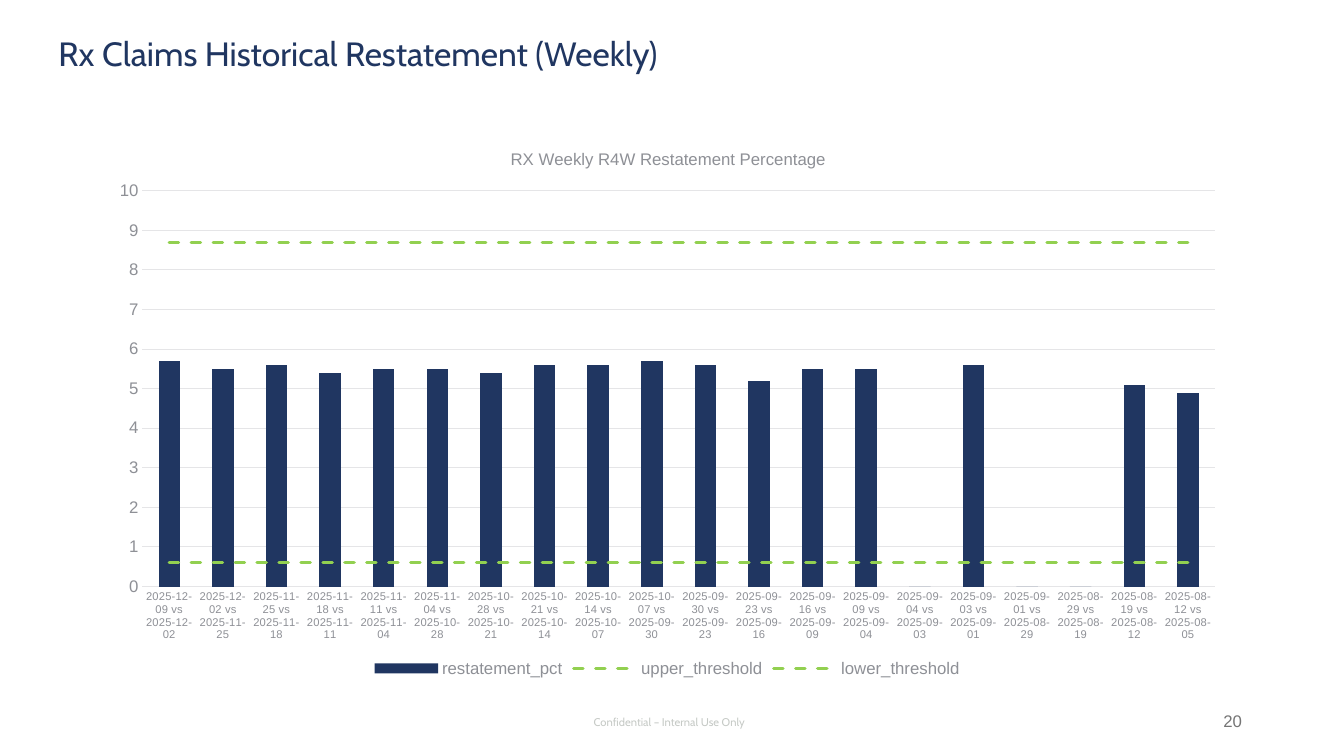
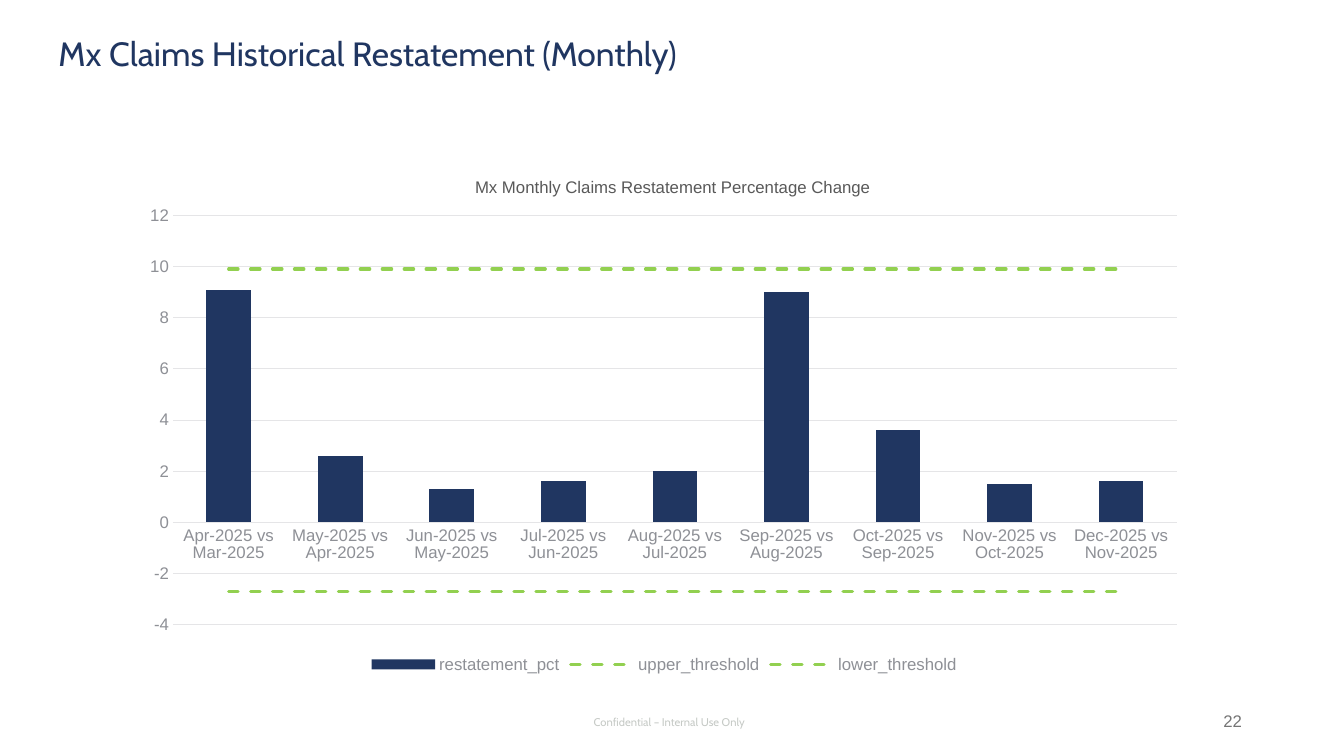
import pptx
import pptx.chart.data
import pptx.dml.color
import pptx.enum.chart
import pptx.enum.dml
import pptx.enum.text
import pptx.oxml
import pptx.oxml.ns
import pptx.util

Cm = pptx.util.Cm
Pt = pptx.util.Pt
RGBColor = pptx.dml.color.RGBColor
qn = pptx.oxml.ns.qn
ALIGN = pptx.enum.text.PP_ALIGN
ANCHOR = pptx.enum.text.MSO_ANCHOR
NO_TICKS = pptx.enum.chart.XL_TICK_MARK.NONE

# Shared colours and fonts
NAVY = RGBColor(0x20, 0x36, 0x61)
GREEN = RGBColor(0x92, 0xD0, 0x50)
AXIS_GREY = RGBColor(0x8E, 0x90, 0x96)
GRID_GREY = RGBColor(0xE5, 0xE5, 0xE7)
TEXT_GREY = RGBColor(0x54, 0x56, 0x5B)
CAPTION_GREY = RGBColor(0x59, 0x59, 0x59)
FOOTER_GREY = RGBColor(0xC6, 0xCA, 0xC6)
PAGE_GREY = RGBColor(0x75, 0x75, 0x75)
HEADING_FONT = "Cabin"
BODY_FONT = "Arial"

# Shared boxes: left, top, width, height in cm
TITLE_BOX = (1.22, 0.71, 31.45, 1.27)
FOOTER_BOX = (13.06, 17.78, 7.62, 0.81)
PAGE_BOX = (23.93, 17.65, 7.62, 1.02)

# Weekly runs: each is compared with the one that follows it
RUN_DATES = [
    "2025-12-09", "2025-12-02", "2025-11-25", "2025-11-18", "2025-11-11",
    "2025-11-04", "2025-10-28", "2025-10-21", "2025-10-14", "2025-10-07",
    "2025-09-30", "2025-09-23", "2025-09-16", "2025-09-09", "2025-09-04",
    "2025-09-03", "2025-09-01", "2025-08-29", "2025-08-19", "2025-08-12",
    "2025-08-05",
]
MONTHS = ["Mar", "Apr", "May", "Jun", "Jul", "Aug", "Sep", "Oct", "Nov", "Dec"]

WEEKLY = {
    "title": "Rx Claims Historical Restatement (Weekly)",
    "page": "20",
    "box": (2.44, 3.12, 28.75, 14.05),
    "caption": "RX Weekly R4W Restatement Percentage",
    "caption_color": AXIS_GREY,
    "caption_at": (0.36, 0.04),
    "plot_at": (0.04, 0.12, 0.94, 0.71),
    "categories": [f"{new} vs {old}" for new, old in zip(RUN_DATES, RUN_DATES[1:])],
    "category_size": 8,
    "restatement": [5.7, 5.5, 5.6, 5.4, 5.5, 5.5, 5.4, 5.6, 5.6, 5.7,
                    5.6, 5.2, 5.5, 5.5, 0, 5.6, 0, 0, 5.1, 4.9],
    "thresholds": (8.7, 0.6),
    "scale": (0, 10, 1),
}
MONTHLY = {
    "title": "Mx Claims Historical Restatement (Monthly)",
    "page": "22",
    "box": (3.28, 3.84, 26.92, 13.23),
    "caption": "Mx Monthly Claims Restatement Percentage Change",
    "caption_color": CAPTION_GREY,
    "caption_at": (0.32, 0.04),
    "plot_at": (0.04, 0.12, 0.94, 0.78),
    "categories": [f"{new}-2025 vs {old}-2025" for old, new in zip(MONTHS, MONTHS[1:])],
    "category_size": 12,
    "restatement": [9.1, 2.6, 1.3, 1.6, 2, 9, 3.6, 1.5, 1.6],
    "thresholds": (9.9, -2.7),
    "scale": (-4, 12, 2),
}


def style_font(font, size, color, name=BODY_FONT):
    font.name = name
    font.size = Pt(size)
    font.bold = False
    font.color.rgb = color


def write_line(frame, text, size, color, name, align):
    paragraph = frame.paragraphs[0]
    paragraph.alignment = align
    run = paragraph.add_run()
    run.text = text
    style_font(run.font, size, color, name)


def add_title(slide, text, box):
    title = slide.shapes.title
    title.left, title.top, title.width, title.height = map(Cm, box)
    title.text_frame.vertical_anchor = ANCHOR.TOP
    write_line(title.text_frame, text, 24, NAVY, HEADING_FONT, ALIGN.LEFT)


def add_small_print(slide, text, box, size, color, name, align):
    frame = slide.shapes.add_textbox(*map(Cm, box)).text_frame
    frame.word_wrap = True
    frame.vertical_anchor = ANCHOR.MIDDLE
    write_line(frame, text, size, color, name, align)


def set_layout(parent, index, fractions, inner=False):
    """Place a chart part by fractions of the chart box."""
    for old in parent.findall(qn("c:layout")):
        parent.remove(old)
    names = ("x", "y", "w", "h")[:len(fractions)]
    target = '<c:layoutTarget val="inner"/>' if inner else ""
    modes = "".join(f'<c:{n}Mode val="edge"/>' for n in names[:2])
    values = "".join(f'<c:{n} val="{v}"/>' for n, v in zip(names, fractions))
    parent.insert(index, pptx.oxml.parse_xml(
        f'<c:layout {pptx.oxml.ns.nsdecls("c")}><c:manualLayout>'
        f"{target}{modes}{values}</c:manualLayout></c:layout>"))


def move_thresholds_to_lines(chart):
    """Turn every series after the first into a line on the same axes."""
    bars = chart.element.find(".//" + qn("c:barChart"))
    axis_ids = "".join(f'<c:axId val="{axis.get("val")}"/>'
                       for axis in bars.findall(qn("c:axId")))
    lines = pptx.oxml.parse_xml(
        f'<c:lineChart {pptx.oxml.ns.nsdecls("c")}><c:grouping val="standard"/>'
        f'<c:varyColors val="0"/><c:marker val="1"/>{axis_ids}</c:lineChart>')
    bars.addnext(lines)
    marker = lines.find(qn("c:marker"))
    for series in bars.findall(qn("c:ser"))[1:]:
        for bar_only in series.findall(qn("c:invertIfNegative")):
            series.remove(bar_only)
        marker.addprevious(series)


def style_series(chart):
    bar_plot, line_plot = chart.plots
    bar_plot.gap_width = 150
    bar_plot.vary_by_categories = False
    bar_fill = bar_plot.series[0].format.fill
    bar_fill.solid()
    bar_fill.fore_color.rgb = NAVY
    for threshold in line_plot.series:
        threshold.smooth = False
        threshold.marker.style = pptx.enum.chart.XL_MARKER_STYLE.NONE
        line = threshold.format.line
        line.color.rgb = GREEN
        line.width = Pt(2.25)
        line.dash_style = pptx.enum.dml.MSO_LINE.DASH
    for outline in chart.element.findall(f".//{qn('c:lineChart')}//{qn('a:ln')}"):
        outline.set("cap", "rnd")


def style_axes(chart, category_size, scale):
    categories, values = chart.category_axis, chart.value_axis
    for axis, size in ((categories, category_size), (values, 12)):
        axis.major_tick_mark = axis.minor_tick_mark = NO_TICKS
        style_font(axis.tick_labels.font, size, AXIS_GREY)
    values.minimum_scale, values.maximum_scale, values.major_unit = scale
    values.format.line.fill.background()
    values.has_major_gridlines = True
    for line in (categories.format.line, values.major_gridlines.format.line):
        line.color.rgb = GRID_GREY
        line.width = Pt(0.75)
    # Automatic rotation lets long labels wrap
    label_body = chart.element.find(f".//{qn('c:catAx')}/{qn('c:txPr')}/{qn('a:bodyPr')}")
    label_body.set("rot", "-60000000")
    label_body.set("vert", "horz")


def add_restatement_chart(slide, content, box):
    data = pptx.chart.data.CategoryChartData()
    data.categories = content["categories"]
    data.add_series("restatement_pct", content["restatement"])
    for name, level in zip(("upper_threshold", "lower_threshold"), content["thresholds"]):
        data.add_series(name, [level] * len(content["categories"]))
    chart = slide.shapes.add_chart(
        pptx.enum.chart.XL_CHART_TYPE.COLUMN_CLUSTERED, *map(Cm, box), data).chart
    style_font(chart.font, 10, TEXT_GREY)
    move_thresholds_to_lines(chart)
    style_series(chart)
    style_axes(chart, content["category_size"], content["scale"])

    # Caption and legend
    chart.has_title = True
    write_line(chart.chart_title.text_frame, content["caption"], 12,
               content["caption_color"], BODY_FONT, ALIGN.CENTER)
    chart.has_legend = True
    chart.legend.position = pptx.enum.chart.XL_LEGEND_POSITION.BOTTOM
    chart.legend.include_in_layout = False
    style_font(chart.legend.font, 12, AXIS_GREY)

    set_layout(chart.element.find(".//" + qn("c:title")), 1, content["caption_at"])
    set_layout(chart.element.find(".//" + qn("c:plotArea")), 0, content["plot_at"], inner=True)


def add_restatement_slide(deck, content):
    slide = deck.slides.add_slide(deck.slide_layouts.get_by_name("Title Only"))
    add_title(slide, content["title"], TITLE_BOX)
    add_restatement_chart(slide, content, content["box"])
    add_small_print(slide, "Confidential – Internal Use Only", FOOTER_BOX,
                    8, FOOTER_GREY, HEADING_FONT, ALIGN.CENTER)
    add_small_print(slide, content["page"], PAGE_BOX,
                    12, PAGE_GREY, BODY_FONT, ALIGN.RIGHT)


def main():
    deck = pptx.Presentation()
    deck.slide_width, deck.slide_height = Cm(33.87), Cm(19.05)
    for content in (WEEKLY, MONTHLY):
        add_restatement_slide(deck, content)
    deck.save("out.pptx")


if __name__ == "__main__":
    main()
